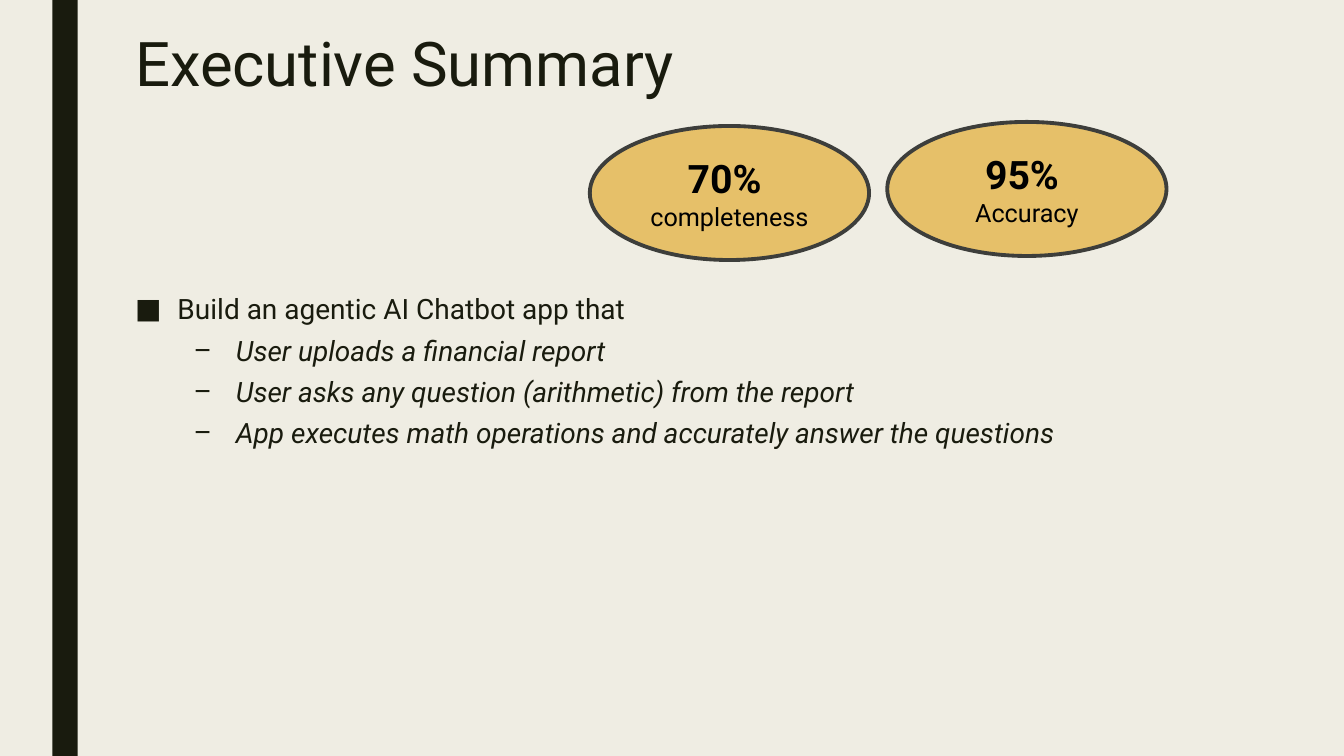
from pptx import Presentation
from pptx.dml.color import RGBColor
from pptx.enum.shapes import MSO_SHAPE as Kind
from pptx.enum.text import MSO_ANCHOR as Anchor, MSO_AUTO_SIZE as Fit, PP_ALIGN as Align
from pptx.oxml.ns import qn
from pptx.util import Inches, Pt
from lxml.etree import SubElement

INK, PAPER, GOLD, EDGE, BLACK = "191B0E", "EFEDE3", "E6C069", "3D3E3B", "000000"


def paint(fill, color):
    fill.solid()
    fill.fore_color.rgb = RGBColor.from_string(color)


def apply(item, style):
    for name, value in style.items():
        setattr(item, name, value)


class Deck:
    font = "Roboto"
    # level: bullet sign, text indent, space before, italic
    levels = [("■", 0.42, 10, False), ("–", 1, 5, True)]

    def __init__(self):
        self.prs = Presentation()
        apply(self.prs, {"slide_width": Inches(13.33), "slide_height": Inches(7.5)})
        self.slide = self.prs.slides.add_slide(self.prs.slide_layouts[1])
        paint(self.slide.background.fill, PAPER)

    def add_text(self, para, text, size, color=INK, **style):
        run = para.add_run()
        run.text = text
        apply(run.font, {"name": self.font, "size": Pt(size), **style})
        paint(run.font.fill, color)

    def place(self, holder, left, top, width, height):
        """Move a placeholder and return its text frame."""
        apply(holder, {"left": Inches(left), "top": Inches(top),
                       "width": Inches(width), "height": Inches(height)})
        frame = holder.text_frame
        apply(frame, {"word_wrap": True, "auto_size": Fit.NONE,
                      "vertical_anchor": Anchor.TOP})
        return frame

    def title(self, text, *box):
        para = self.place(self.slide.shapes.title, *box).paragraphs[0]
        apply(para, {"alignment": Align.LEFT, "line_spacing": 0.89})
        self.add_text(para, text, 44)

    def bullets(self, items, *box):
        frame = self.place(self.slide.placeholders[1], *box)
        for pos, (level, text) in enumerate(items):
            para = frame.add_paragraph() if pos else frame.paragraphs[0]
            sign, indent, before, italic = self.levels[level]
            apply(para, {"level": level, "line_spacing": 0.94,
                         "space_before": Pt(before), "space_after": Pt(2)})
            props = para._p.get_or_add_pPr()
            props.set("marL", str(Inches(indent)))
            props.set("indent", str(Inches(-0.42)))
            SubElement(props, qn("a:buFont")).set("typeface", self.font)
            SubElement(props, qn("a:buChar")).set("char", sign)
            self.add_text(para, text, 20, italic=italic)

    def shape(self, kind, color, left, top, width, height):
        item = self.slide.shapes.add_shape(
            kind, Inches(left), Inches(top), Inches(width), Inches(height))
        item.shadow.inherit = False
        paint(item.fill, color)
        item.line.fill.background()
        return item

    def score(self, value, label, left, top):
        oval = self.shape(Kind.OVAL, GOLD, left, top, 2.77, 1.33)
        paint(oval.line.fill, EDGE)
        oval.line.width = Pt(2.75)
        oval.text_frame.vertical_anchor = Anchor.MIDDLE
        para = oval.text_frame.paragraphs[0]
        para.alignment = Align.CENTER
        self.add_text(para, value + " ", 28, BLACK, bold=True)
        para.add_line_break()
        self.add_text(para, label, 18, BLACK, bold=False)


def main():
    deck = Deck()
    deck.shape(Kind.RECTANGLE, INK, 0.52, 0, 0.25, 7.5)
    deck.title("Executive Summary", 1.24, 0.29, 10.5, 1.62)
    deck.bullets([
        (0, "Build an agentic AI Chatbot app that"),
        (1, "User uploads a financial report"),
        (1, "User asks any question (arithmetic) from the report"),
        (1, "App executes math operations and accurately answer the questions"),
    ], 1.24, 2.87, 10.5, 4.2)
    deck.score("95%", "Accuracy", 8.8, 1.21)
    deck.score("70%", "completeness", 5.85, 1.25)
    deck.prs.save("out.pptx")


if __name__ == "__main__":
    main()
